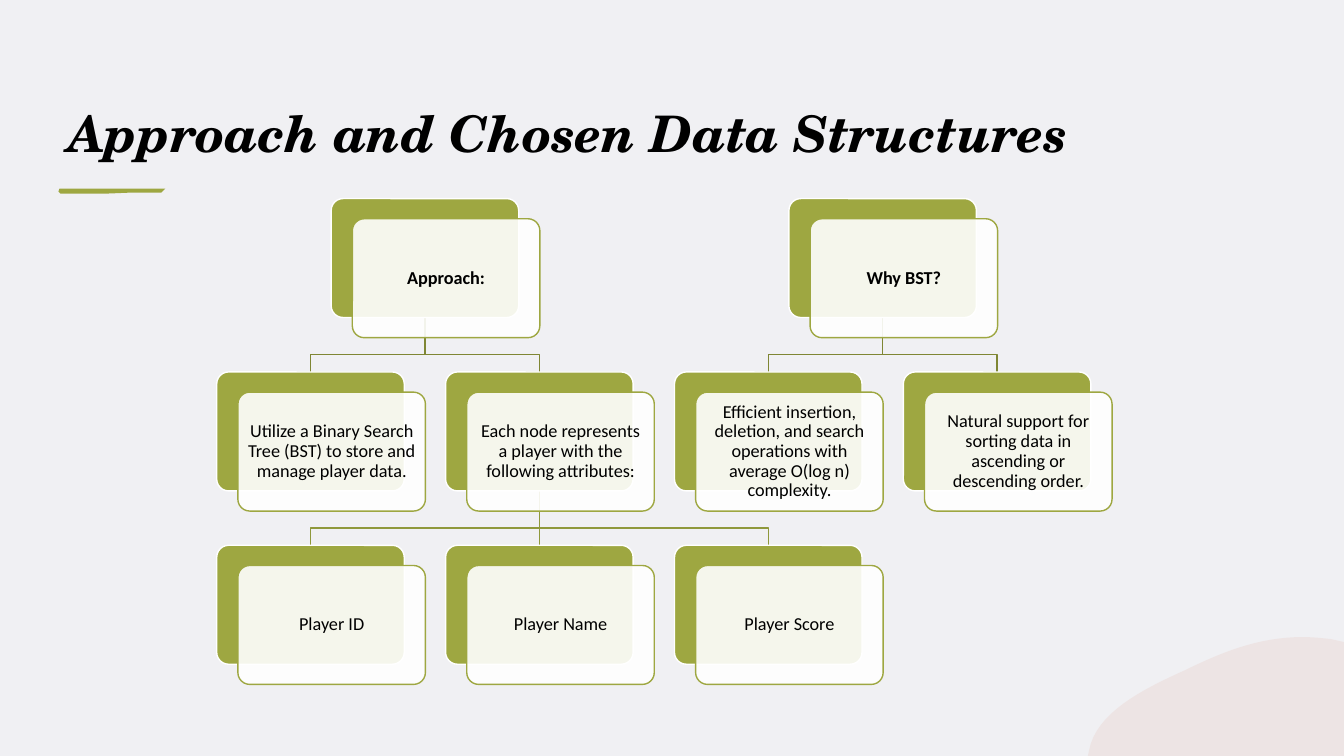
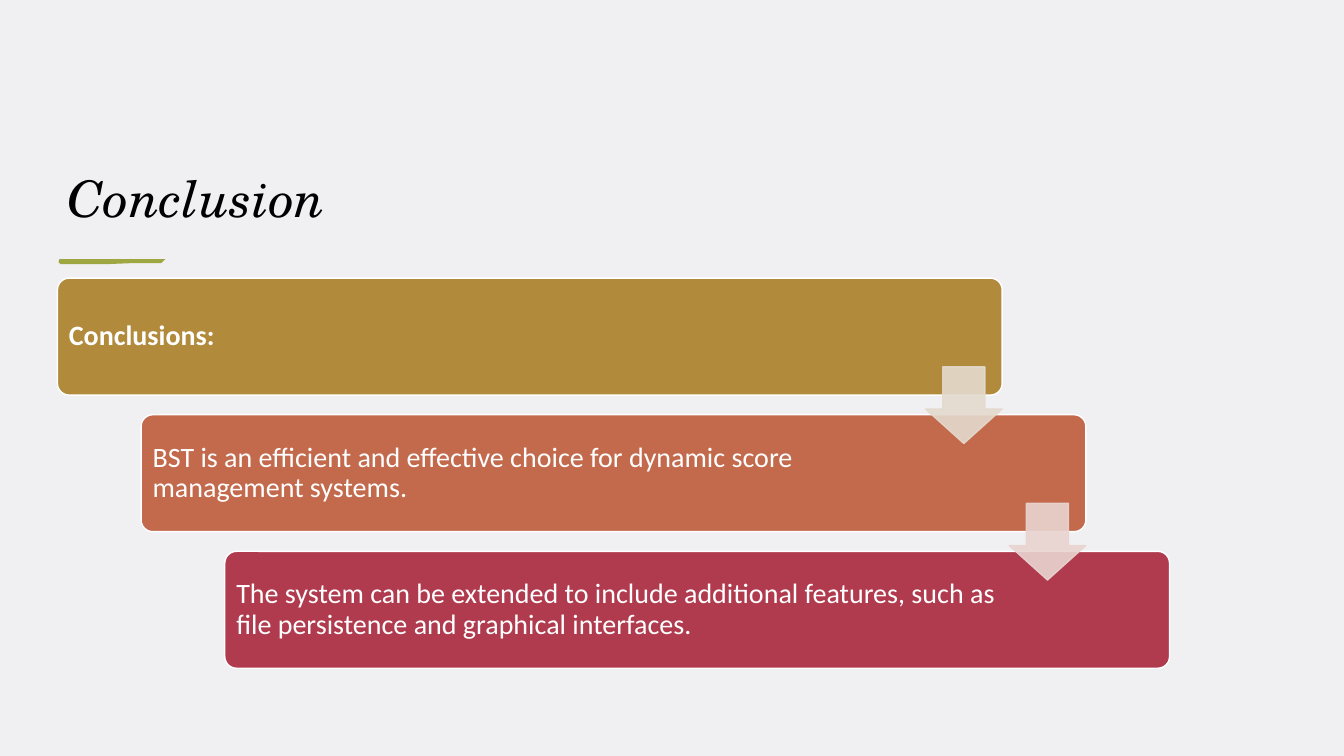
from lxml import etree
from pptx import Presentation
from pptx import util as u
from pptx.dml.color import RGBColor
from pptx.enum import shapes, text
from pptx.oxml.ns import qn

COLORS = {
    "paper": "F0F0F3", "ink": "000000", "white": "FFFFFF", "olive": "9EA741",
    "upper_link": "7F8634", "lower_link": "8F983B", "blush": "E7C3B8",
    "gold": "B18A3B", "rust": "C36A4D", "wine": "B13B4E",
    "gold_arrow": "E4DACE", "rust_arrow": "E9D4D0",
}
TITLE_FONT, BODY_FONT = "TeX Gyre Schola", "Calibri"

NODES = {
    "approach": (0.5, 0, "Approach:"),
    "utilize": (0, 1, "Utilize a Binary Search Tree (BST) to store and manage player data."),
    "node": (1, 1, "Each node represents a player with the following attributes:"),
    "id": (0, 2, "Player ID"),
    "name": (1, 2, "Player Name"),
    "score": (2, 2, "Player Score"),
    "why": (2.5, 0, "Why BST?"),
    "efficient": (2, 1, "Efficient insertion, deletion, and search operations with "
                        "average O(log n) complexity."),
    "natural": (3, 1, "Natural support for sorting data in ascending or descending order."),
}
LINKS = [
    ("why", "natural"), ("why", "efficient"), ("node", "score"), ("node", "name"),
    ("node", "id"), ("approach", "node"), ("approach", "utilize"),
]
STEPS = [
    ("Conclusions:", "gold", "gold_arrow"),
    ("BST is an efficient and effective choice for dynamic score management systems.",
     "rust", "rust_arrow"),
    ("The system can be extended to include additional features, such as file "
     "persistence and graphical interfaces.", "wine", None),
]


def rgb(name):
    """Return the named colour."""
    return RGBColor.from_string(COLORS[name])


def set_alpha(fill, percent):
    """Make a solid fill element partly transparent."""
    etree.SubElement(fill.find(qn("a:srgbClr")), qn("a:alpha"), val=str(percent * 1000))


def paint(sp, fill=None, line=None, fill_alpha=None, line_alpha=None):
    """Set the fill and one-point line of a shape, without shadow."""
    sp.shadow.inherit = False
    spPr = sp._element.spPr
    if fill:
        sp.fill.solid()
        sp.fill.fore_color.rgb = rgb(fill)
        if fill_alpha:
            set_alpha(spPr.find(qn("a:solidFill")), fill_alpha)
    else:
        sp.fill.background()
    if line:
        sp.line.width = u.Pt(1)
        sp.line.color.rgb = rgb(line)
        if line_alpha:
            set_alpha(spPr.find(qn("a:ln")).find(qn("a:solidFill")), line_alpha)
    else:
        sp.line.fill.background()


def add_preset(s, kind, box, adjustments=()):
    """Add a preset shape in a box given in inches."""
    sp = s.shapes.add_shape(kind, *map(u.Inches, box))
    for i, value in enumerate(adjustments):
        sp.adjustments[i] = value
    return sp


def add_outline(s, points, close=True):
    """Add a freeform through points given in inches."""
    pts = [(u.Inches(x), u.Inches(y)) for x, y in points]
    builder = s.shapes.build_freeform(*pts[0], scale=1.0)
    builder.add_line_segments(pts[1:], close=close)
    return builder.convert_to_shape()


def curve(p0, p1, p2, p3, steps=16):
    """Return points along a cubic curve, without its start."""
    return [
        tuple((1 - t) ** 3 * a + 3 * (1 - t) ** 2 * t * b + 3 * (1 - t) * t * t * c + t ** 3 * d
              for a, b, c, d in zip(p0, p1, p2, p3))
        for t in (i / steps for i in range(1, steps + 1))
    ]


def write(sp, words, size, font, color, align, bold=False, italic=False):
    """Write one formatted run into a shape."""
    tf = sp.text_frame
    tf.word_wrap = True
    tf.auto_size = text.MSO_AUTO_SIZE.NONE
    p = tf.paragraphs[0]
    p.alignment = align
    p.line_spacing = 0.9
    r = p.add_run()
    r.text = words
    r.font.size, r.font.name = u.Pt(size), font
    r.font.bold, r.font.italic = bold, italic
    r.font.color.rgb = rgb(color)
    return tf


def set_margins(tf, left, top, right, bottom):
    """Set text margins in inches and centre the text vertically."""
    tf.margin_left, tf.margin_right = u.Inches(left), u.Inches(right)
    tf.margin_top, tf.margin_bottom = u.Inches(top), u.Inches(bottom)
    tf.vertical_anchor = text.MSO_ANCHOR.MIDDLE


def add_heading(s, words, box, rule_top, bold=False):
    """Place the title and the brush stroke below it."""
    title = s.shapes.title
    title.left, title.top, title.width, title.height = map(u.Inches, box)
    tf = write(title, words, 36, TITLE_FONT, "ink", text.PP_ALIGN.LEFT, bold, True)
    tf.vertical_anchor = text.MSO_ANCHOR.BOTTOM
    stroke = [(0.02, 0), (1.07, 0), (1.03, 0.04), (0.75, 0.04), (0.5, 0.05),
              (0.03, 0.05), (0.01, 0.03)]
    left = box[0]
    paint(add_outline(s, [(left + x, rule_top + y) for x, y in stroke]), "olive")


def add_blob(s, right, bottom):
    """Place the pale blob in the corner at the given point."""
    knots = [(2.53, 0.05), (2.46, 0.43), (2.0, 0.66), (1.58, 0.85), (1.23, 1.02),
             (0.86, 1.18), (0.41, 1.18), (0.32, 1.18), (0.22, 1.17), (0.13, 1.16)]
    knots = [(right - x, bottom - y) for x, y in knots]
    points = [(right - 2.54, bottom), knots[0]]
    for i in range(0, 9, 3):
        points += curve(*knots[i:i + 4])
    points += [(right, bottom - 1.13), (right, bottom)]
    paint(add_outline(s, points), "blush", fill_alpha=25)


def add_node(s, box, words, bold):
    """Place a node as a back plate and a shifted card; return the plate."""
    left, top, width, height = box
    kind = shapes.MSO_SHAPE.ROUNDED_RECTANGLE
    plate = add_preset(s, kind, box, [0.1])
    paint(plate, "olive", "white")
    card = add_preset(s, kind, (left + 0.21, top + 0.2, width, height), [0.1])
    paint(card, "white", "olive", fill_alpha=90)
    tf = write(card, words, 13, BODY_FONT, "ink", text.PP_ALIGN.CENTER, bold)
    set_margins(tf, 0.05, 0.05, 0.05, 0.05)
    return plate


def add_link(s, parent, child, color):
    """Link two plates and return the link."""
    x1, y1 = parent.left + parent.width // 2, parent.top + parent.height
    x2, y2 = child.left + child.width // 2, child.top
    if x1 == x2:
        link = s.shapes.add_connector(shapes.MSO_CONNECTOR.STRAIGHT, x1, y1, x2, y2)
        link.begin_connect(parent, 2)
        link.end_connect(child, 0)
        link.line.width = u.Pt(1)
        link.line.color.rgb = rgb(color)
        etree.SubElement(link._element.spPr, qn("a:effectLst"))
        return link
    bend = y1 + u.Inches(0.37)
    points = [(x1, y1), (x1, bend), (x2, bend), (x2, y2)]
    link = add_outline(s, [(u.Emu(x).inches, u.Emu(y).inches) for x, y in points], False)
    paint(link, line=color)
    return link


def add_tree(s, box):
    """Place the tree of nodes and its links in a box."""
    left, top, width, height = box
    node_w, node_h = 1.86, 1.18
    col_step = (width - node_w - 0.21) / 3
    row_step = (height - node_h - 0.2) / 2
    plates = {}
    for key, (col, row, words) in NODES.items():
        node_box = (left + col * col_step, top + row * row_step, node_w, node_h)
        plates[key] = add_node(s, node_box, words, row == 0)
    first = plates["approach"]._element
    for parent, child in LINKS:
        color = "upper_link" if NODES[parent][1] == 0 else "lower_link"
        link = add_link(s, plates[parent], plates[child], color)
        first.addprevious(link._element)


def add_staircase(s, box):
    """Place the stepped bars, then the arrows between them, in a box."""
    left, top, width, height = box
    bar_w, bar_h, arrow = 9.37, 1.16, 0.76
    dx = (width - bar_w) / (len(STEPS) - 1)
    dy = (height - bar_h) / (len(STEPS) - 1)
    for i, (words, color, _) in enumerate(STEPS):
        bar = add_preset(s, shapes.MSO_SHAPE.ROUNDED_RECTANGLE,
                         (left + i * dx, top + i * dy, bar_w, bar_h), [0.1])
        paint(bar, color, "white")
        tf = write(bar, words, 20, BODY_FONT, "white", text.PP_ALIGN.LEFT, i == 0)
        set_margins(tf, 0.08, 0.08, 1.66, 0.08)
    for i, (_, _, color) in enumerate(STEPS):
        if color:
            sp = add_preset(s, shapes.MSO_SHAPE.DOWN_ARROW,
                            (left + i * dx + bar_w - arrow, top + i * dy + 0.88,
                             arrow, arrow), [0.55, 0.45])
            paint(sp, color, color, 90, 90)


def build_approach(prs):
    """Build the slide with the tree."""
    s = prs.slides.add_slide(prs.slide_layouts[5])
    add_blob(s, 13.33, 7.5)
    add_heading(s, "Approach and Chosen Data Structures", (0.57, 0.77, 11.02, 0.9), 1.87, True)
    add_tree(s, (2.15, 1.97, 8.88, 4.82))


def build_conclusion(prs):
    """Build the slide with the stepped bars."""
    s = prs.slides.add_slide(prs.slide_layouts[5])
    add_heading(s, "Conclusion", (0.57, 0.87, 11.02, 1.45), 2.57)
    add_staircase(s, (0.57, 2.76, 11.03, 3.87))


def main():
    """Build and save the presentation."""
    prs = Presentation()
    prs.slide_width, prs.slide_height = u.Inches(13.33), u.Inches(7.5)
    fill = prs.slide_master.background.fill
    fill.solid()
    fill.fore_color.rgb = rgb("paper")
    build_approach(prs)
    build_conclusion(prs)
    prs.save("out.pptx")


if __name__ == "__main__":
    main()
